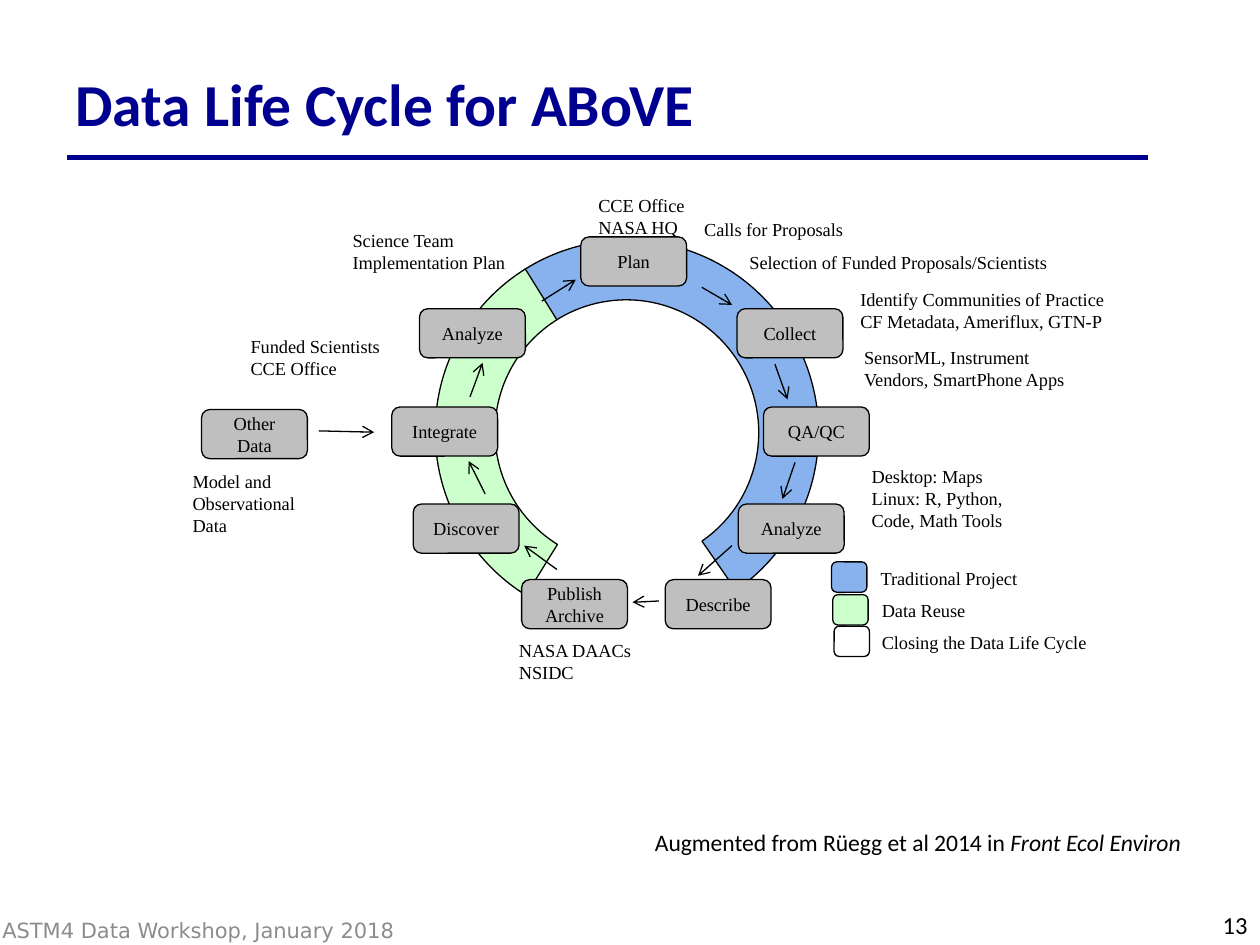
"""Build the data life cycle slide."""
from dataclasses import dataclass

from lxml import etree
from pptx import Presentation
from pptx.dml.color import RGBColor
from pptx.enum.shapes import MSO_CONNECTOR, MSO_SHAPE
from pptx.enum.text import MSO_ANCHOR, MSO_AUTO_SIZE, PP_ALIGN
from pptx.oxml.ns import qn
from pptx.slide import Slide
from pptx.util import Inches, Pt

STRAIGHT = MSO_CONNECTOR.STRAIGHT
ARC, ROUNDED = MSO_SHAPE.BLOCK_ARC, MSO_SHAPE.ROUNDED_RECTANGLE
TOP, MIDDLE = MSO_ANCHOR.TOP, MSO_ANCHOR.MIDDLE
LEFT, CENTER, RIGHT = PP_ALIGN.LEFT, PP_ALIGN.CENTER, PP_ALIGN.RIGHT
GROW = MSO_AUTO_SIZE.SHAPE_TO_FIT_TEXT

NAVY = RGBColor(0x00, 0x00, 0x90)
BLACK = RGBColor(0x00, 0x00, 0x00)
WHITE = RGBColor(0xFF, 0xFF, 0xFF)
GRAY = RGBColor(0xBF, 0xBF, 0xBF)
FOOTER_GRAY = RGBColor(0x8C, 0x8C, 0x8C)
BLUE = RGBColor(0x87, 0xB2, 0xED)
GREEN = RGBColor(0xCC, 0xFF, 0xCC)

LABEL = {"name": "Times New Roman", "size": Pt(10.5)}
TITLE = {"name": "Calibri", "size": Pt(34), "bold": True}
FOOTER = {"name": "DejaVu Sans", "size": Pt(12)}
NUMBER = {"name": "Calibri", "size": Pt(14)}
CITATION = {"name": "Calibri", "size": Pt(13.5)}

STEP_WIDTH, STEP_HEIGHT = 0.84, 0.39
RING = (3.45, 1.91, 3.05, 3.04)
RING_END, RING_THICKNESS = 211.875, 0.156


@dataclass(frozen=True)
class Step:
    """A stage of the cycle, placed by its top left corner."""
    text: str
    left: float
    top: float


@dataclass(frozen=True)
class Arrow:
    """An arrow between two points."""
    start: tuple[float, float]
    end: tuple[float, float]


@dataclass(frozen=True)
class Note:
    """A text box with its wording and place."""
    text: str
    left: float
    top: float
    width: float
    height: float
    wrap: bool = True


@dataclass(frozen=True)
class Arc:
    """A coloured part of the ring."""
    rotation: float
    start: float
    color: RGBColor


@dataclass(frozen=True)
class Key:
    """A legend swatch with its label."""
    text: str
    left: float
    top: float
    label_left: float
    label_width: float
    color: RGBColor


ARCS = [Arc(62.3, 105.255, BLUE), Arc(245, 142.041, GREEN)]
STEPS = [
    Step("Plan", 4.61, 1.88),
    Step("Collect", 5.85, 2.45),
    Step("QA/QC", 6.06, 3.23),
    Step("Analyze", 5.86, 4),
    Step("Describe", 5.28, 4.6),
    Step("Publish\nArchive", 4.14, 4.6),
    Step("Discover", 3.28, 4),
    Step("Integrate", 3.11, 3.23),
    Step("Analyze", 3.33, 2.45),
    Step("Other Data", 1.6, 3.25),
]
ARROWS = [
    Arrow((5.57, 2.28), (5.81, 2.42)),
    Arrow((6.15, 2.89), (6.25, 3.17)),
    Arrow((6.31, 3.67), (6.21, 3.96)),
    Arrow((5.81, 4.33), (5.54, 4.57)),
    Arrow((5.23, 4.77), (5.02, 4.78)),
    Arrow((4.42, 4.52), (4.16, 4.33)),
    Arrow((3.85, 3.92), (3.72, 3.66)),
    Arrow((3.73, 3.15), (3.83, 2.88)),
    Arrow((4.3, 2.39), (4.57, 2.22)),
    Arrow((2.53, 3.42), (2.97, 3.43)),
]
NOTES = [
    Note("CCE Office\nNASA HQ", 4.65, 1.49, 0.9, 0.45, False),
    Note("Calls for Proposals", 5.49, 1.68, 1.32, 0.28, False),
    Note("Selection of Funded Proposals/Scientists", 5.85, 1.94, 2.6, 0.28, False),
    Note("Identify Communities of Practice\nCF Metadata, Ameriflux, GTN-P",
         6.73, 2.24, 2.16, 0.45, False),
    Note("SensorML, Instrument Vendors, SmartPhone Apps", 6.76, 2.7, 1.9, 0.45),
    Note("Desktop: Maps Linux: R, Python, Code, Math Tools", 6.82, 3.64, 1.36, 0.63),
    Note("NASA DAACs\nNSIDC", 4.02, 5.02, 1.19, 0.45),
    Note("Science Team\nImplementation Plan", 2.7, 1.77, 1.61, 0.45),
    Note("Funded Scientists\nCCE Office", 1.89, 2.61, 1.28, 0.45),
    Note("Model and Observational Data", 1.43, 3.68, 1.28, 0.63),
]
KEYS = [
    Key("Traditional Project", 6.6, 4.46, 6.89, 1.3, BLUE),
    Key("Data Reuse", 6.61, 4.72, 6.9, 1.3, GREEN),
    Key("Closing the Data Life Cycle", 6.62, 4.97, 6.9, 1.87, WHITE),
]


def write(frame, text: str, style: dict, color=BLACK, align=LEFT, anchor=TOP) -> None:
    """Fill a text frame with one paragraph per line."""
    frame.text = text
    frame.vertical_anchor = anchor
    for paragraph in frame.paragraphs:
        paragraph.alignment = align
        for name, value in style.items():
            setattr(paragraph.font, name, value)
        paragraph.font.color.rgb = color


def add_note(slide: Slide, note: Note, style: dict, grow=True, **options):
    """Add a text box and return its text frame."""
    box = slide.shapes.add_textbox(
        *map(Inches, (note.left, note.top, note.width, note.height)))
    frame = box.text_frame
    frame.word_wrap = note.wrap
    if grow:
        frame.auto_size = GROW
    write(frame, note.text, style, **options)
    return frame


def add_panel(slide: Slide, kind, box: tuple, color: RGBColor):
    """Add a flat filled shape with a thin black outline."""
    shape = slide.shapes.add_shape(kind, *map(Inches, box))
    shape.shadow.inherit = False
    shape.fill.solid()
    shape.fill.fore_color.rgb = color
    shape.line.color.rgb = BLACK
    shape.line.width = Pt(0.75)
    return shape


def add_line(slide: Slide, start: tuple, end: tuple, color: RGBColor, width: float):
    """Add a straight line without a shadow."""
    line = slide.shapes.add_connector(STRAIGHT, *map(Inches, start + end))
    line.line.color.rgb = color
    line.line.width = Pt(width)
    etree.SubElement(line._element.spPr, qn("a:effectLst"))
    return line


def add_arrow(slide: Slide, arrow: Arrow) -> None:
    """Add a thin line with an open arrowhead at its end."""
    line = add_line(slide, arrow.start, arrow.end, BLACK, 0.75)
    etree.SubElement(line.line._get_or_add_ln(), qn("a:tailEnd"), type="arrow")


def main() -> None:
    """Build and save the slide."""
    presentation = Presentation()
    presentation.slide_width, presentation.slide_height = Inches(10), Inches(7.5)
    slide = presentation.slides.add_slide(presentation.slide_layouts[6])

    add_line(slide, (0.53, 1.25), (9.11, 1.25), NAVY, 2.75)
    add_note(slide, Note("ASTM4 Data Workshop, January 2018", -0.08, 7.18, 5.83, 0.4),
             FOOTER, grow=False, color=FOOTER_GRAY, anchor=MIDDLE)
    add_note(slide, Note("Data Life Cycle for ABoVE", 0.5, 0.3, 8.5, 1.03),
             TITLE, grow=False, color=NAVY, anchor=MIDDLE)
    add_note(slide, Note("13", 7.67, 7.17, 2.33, 0.33), NUMBER, grow=False, align=RIGHT)

    for arc in ARCS:
        shape = add_panel(slide, ARC, RING, arc.color)
        shape.rotation = arc.rotation
        for index, value in enumerate((arc.start, RING_END, RING_THICKNESS)):
            shape.adjustments[index] = value
    for step in STEPS:
        box = (step.left, step.top, STEP_WIDTH, STEP_HEIGHT)
        shape = add_panel(slide, ROUNDED, box, GRAY)
        write(shape.text_frame, step.text, LABEL, align=CENTER, anchor=MIDDLE)
    for arrow in ARROWS:
        add_arrow(slide, arrow)
    for note in NOTES:
        add_note(slide, note, LABEL)
    for key in KEYS:
        add_panel(slide, ROUNDED, (key.left, key.top, 0.28, 0.24), key.color)
        label = Note(key.text, key.label_left, key.top - 0.01, key.label_width, 0.28)
        add_note(slide, label, LABEL)

    citation = Note("Augmented from Rüegg et al 2014 in ", 5.1, 6.52, 4.44, 0.33, False)
    journal = add_note(slide, citation, CITATION).paragraphs[0].add_run()
    journal.text = "Front Ecol Environ"
    journal.font.italic = True
    presentation.save("out.pptx")


if __name__ == "__main__":
    main()
